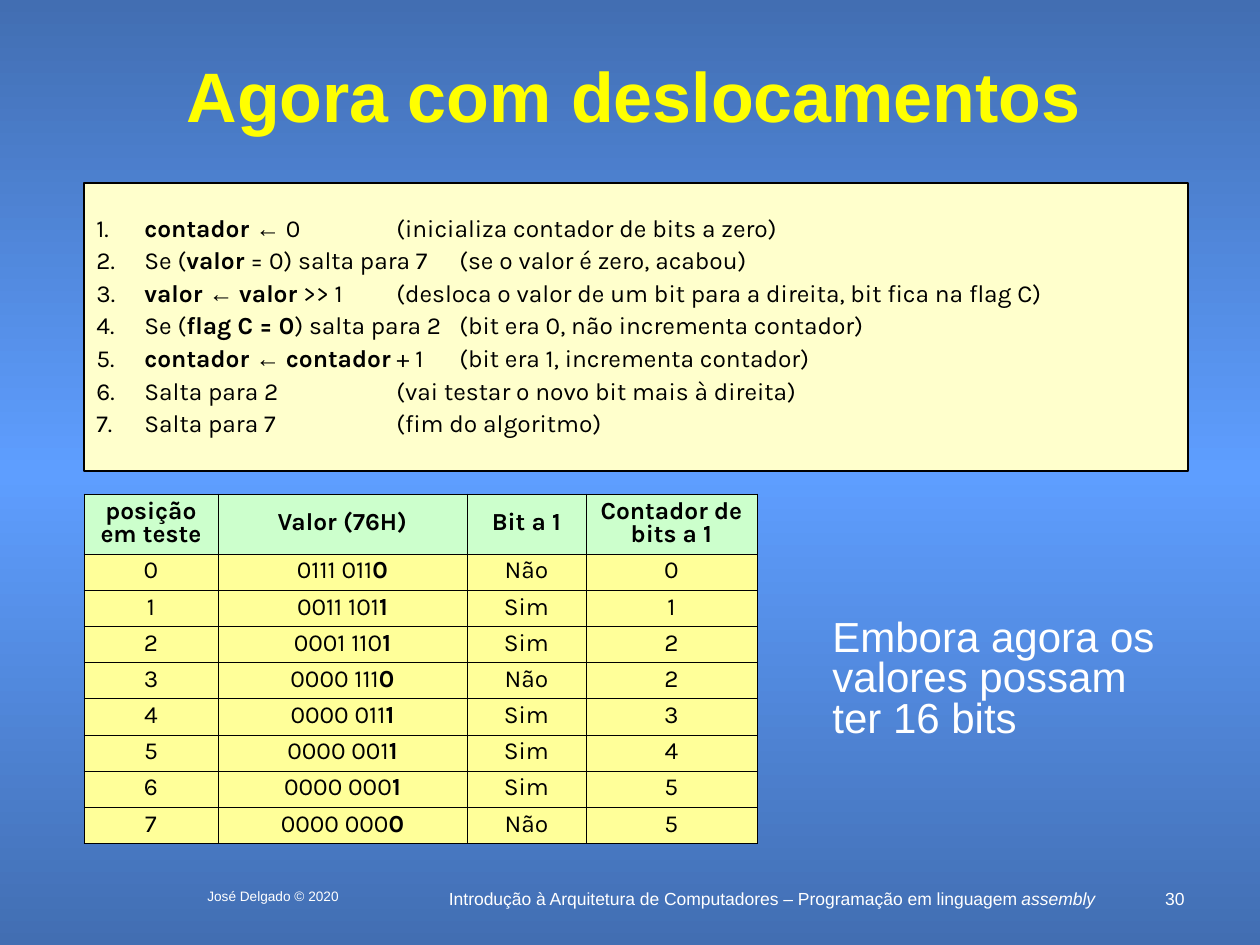
from copy import deepcopy
from dataclasses import dataclass

from lxml.etree import SubElement
from pptx import Presentation
from pptx.dml.color import RGBColor
from pptx.enum.shapes import MSO_SHAPE as Shape
from pptx.enum.text import MSO_ANCHOR as Anchor, PP_ALIGN as Align
from pptx.oxml.ns import qn
from pptx.util import Emu, Pt


@dataclass(frozen=True)
class Theme:
    sky_edge: str = "426EB2"
    sky_middle: str = "5E9EFF"
    title: str = "FFFF00"
    light: str = "FFFFFF"
    dark: str = "000000"
    algorithm: str = "FFFFCC"
    header: str = "CCFFCC"
    body: str = "FFFF99"
    sans: str = "Arial"
    code: str = "Karla"
    title_size: float = 40
    note_size: float = 24
    body_size: float = 14
    footer_size: float = 10
    credit_size: float = 7.8


theme = Theme()


def px(length):
    return Emu(round(length * 914400 / 126))


def write(frame, text, *, size, color, font=theme.sans, bold=False, mark="bold",
          align=Align.LEFT, spacing=1.0, before=0, indent=0, tabs=(), anchor=Anchor.TOP):
    """Fill a frame line by line; parts between asterisks take the mark (bold or italic)."""
    frame.word_wrap = True
    frame.vertical_anchor = anchor
    for number, line in enumerate(text.split("\n")):
        paragraph = frame.add_paragraph() if number else frame.paragraphs[0]
        properties = paragraph._p.get_or_add_pPr()
        if indent:
            properties.set("marL", str(px(indent)))
            properties.set("indent", str(-px(indent)))
        if tabs:
            tab_list = SubElement(properties, qn("a:tabLst"))
            for stop in tabs:
                SubElement(tab_list, qn("a:tab"), pos=str(px(stop)), algn="l")
        paragraph.alignment = align
        paragraph.line_spacing = spacing
        if number:
            paragraph.space_before = Pt(before)
        for part, segment in enumerate(line.split("*")):
            # The arrow has no glyph in the code font, so it gets its own run.
            for piece in filter(None, segment.replace("←", "|←|").split("|")):
                run = paragraph.add_run()
                run.text = piece
                run.font.name = theme.sans if piece == "←" else font
                run.font.size = Pt(size)
                run.font.color.rgb = RGBColor.from_string(color)
                run.font.bold = bold
                if part % 2 and piece != "←":
                    setattr(run.font, mark, True)


presentation = Presentation()
presentation.slide_width, presentation.slide_height = px(1260), px(945)
slide = presentation.slides.add_slide(presentation.slide_layouts[6])

# Background
background = slide.background.fill
background.gradient()
background.gradient_angle = 90
stop_list = slide.element.find(".//" + qn("a:gsLst"))
stop_list.append(deepcopy(stop_list[-1]))
sky = [(0, theme.sky_edge), (0.5, theme.sky_middle), (1, theme.sky_edge)]
for stop, (position, color) in zip(background.gradient_stops, sky):
    stop.position = position
    stop.color.rgb = RGBColor.from_string(color)

# Title, note and footer
footer = dict(size=theme.footer_size, color=theme.light)
text_boxes = [
    ((93, 60, 1081, 84), "Agora com deslocamentos",
     dict(size=theme.title_size, color=theme.title, bold=True, align=Align.CENTER,
          spacing=0.8, anchor=Anchor.MIDDLE)),
    ((820, 614, 369, 146), "Embora agora os valores possam ter 16 bits",
     dict(size=theme.note_size, color=theme.light, spacing=0.8)),
    ((168, 882, 210, 32), "José Delgado © 2020",
     dict(size=theme.credit_size, color=theme.light, align=Align.CENTER)),
    ((435, 882, 674, 32),
     "Introdução à Arquitetura de Computadores – Programação em linguagem *assembly*",
     dict(footer, align=Align.CENTER, mark="italic")),
    ((1144, 882, 53, 21), "30", dict(footer, align=Align.RIGHT)),
]
for box, text, style in text_boxes:
    write(slide.shapes.add_textbox(*map(px, box)).text_frame, text, **style)

# Algorithm
algorithm_steps = [
    "*contador *← 0\t\t(inicializa contador de bits a zero)",
    "Se (*valor* = 0) salta para 7\t(se o valor é zero, acabou)",
    "*valor *← *valor* >> 1\t(desloca o valor de um bit para a direita, bit fica na flag C)",
    "Se (*flag C = 0*) salta para 2\t(bit era 0, não incrementa contador)",
    "*contador *← *contador* + 1\t(bit era 1, incrementa contador)",
    "Salta para 2\t\t(vai testar o novo bit mais à direita)",
    "Salta para 7\t\t(fim do algoritmo)",
]
panel = slide.shapes.add_shape(Shape.RECTANGLE, *map(px, (84, 183, 1104, 288)))
panel.shadow.inherit = False
panel.fill.solid()
panel.fill.fore_color.rgb = RGBColor.from_string(theme.algorithm)
panel.line.color.rgb = RGBColor.from_string(theme.dark)
panel.line.width = Pt(0.75)
numbered = [f"{number}.\t{step}" for number, step in enumerate(algorithm_steps, 1)]
write(panel.text_frame, "\n".join(numbered), size=theme.body_size, color=theme.dark,
      font=theme.code, spacing=0.9, before=3.5, indent=48, tabs=(126, 252, 378),
      anchor=Anchor.MIDDLE)

# Trace table
trace = [
    ("posição em teste", "Valor (76H)", "Bit a 1", "Contador de bits a 1"),
    ("0", "0111 011*0*", "Não", "0"),
    ("1", "0011 101*1*", "Sim", "1"),
    ("2", "0001 110*1*", "Sim", "2"),
    ("3", "0000 111*0*", "Não", "2"),
    ("4", "0000 011*1*", "Sim", "3"),
    ("5", "0000 001*1*", "Sim", "4"),
    ("6", "0000 000*1*", "Sim", "5"),
    ("7", "0000 000*0*", "Não", "5"),
]
column_widths = (134, 249, 119, 171)
header_height, row_height = 60, 36
table_height = header_height + row_height * (len(trace) - 1)
table = slide.shapes.add_table(len(trace), len(column_widths), px(84), px(494),
                               px(sum(column_widths)), px(table_height)).table
table.horz_banding = False
for column, width in zip(table.columns, column_widths):
    column.width = px(width)
for row_number, values in enumerate(trace):
    is_header = row_number == 0
    table.rows[row_number].height = px(header_height if is_header else row_height)
    for column_number, value in enumerate(values):
        cell = table.cell(row_number, column_number)
        cell_properties = cell._tc.get_or_add_tcPr()
        for side in ("a:lnL", "a:lnR", "a:lnT", "a:lnB"):
            border = SubElement(cell_properties, qn(side), w=str(Pt(0.34)))
            border_fill = SubElement(border, qn("a:solidFill"))
            SubElement(border_fill, qn("a:srgbClr"), val=theme.dark)
        cell.fill.solid()
        cell.fill.fore_color.rgb = RGBColor.from_string(
            theme.header if is_header else theme.body)
        write(cell.text_frame, value, size=theme.body_size, color=theme.dark,
              font=theme.code, bold=is_header, align=Align.CENTER, spacing=0.8)
        cell.vertical_anchor = Anchor.MIDDLE

presentation.save("out.pptx")
